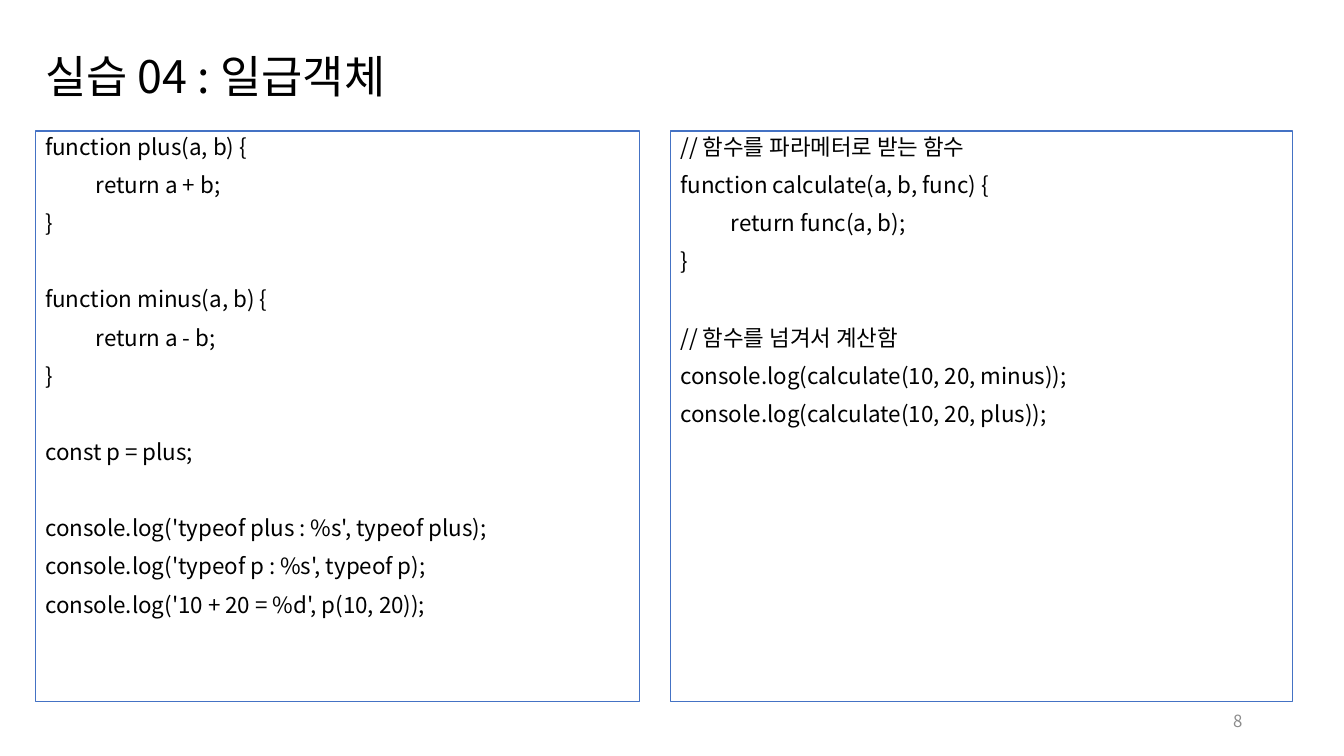
from lxml.etree import SubElement
from pptx import Presentation
from pptx.dml.color import RGBColor
from pptx.enum.shapes import MSO_SHAPE
from pptx.enum.text import MSO_ANCHOR, PP_ALIGN
from pptx.oxml.ns import qn
from pptx.util import Inches, Pt

FONT = "Noto Sans CJK KR"
HUES = {"ink": "000000", "edge": "4472C4", "gray": "8C8C8C"}
PLUS = """function plus(a, b) {
\treturn a + b;
}

function minus(a, b) {
\treturn a - b;
}

const p = plus;

console.log('typeof plus : %s', typeof plus);
console.log('typeof p : %s', typeof p);
console.log('10 + 20 = %d', p(10, 20));"""
CALC = """// 함수를 파라메터로 받는 함수
function calculate(a, b, func) {
\treturn func(a, b);
}

// 함수를 넘겨서 계산함
console.log(calculate(10, 20, minus));
console.log(calculate(10, 20, plus));"""


def write(frame, text, size=16, hue="ink", align=PP_ALIGN.LEFT,
          anchor=MSO_ANCHOR.TOP, lead=0.9, gap=10, skip=27.2):
    frame.word_wrap = True
    frame.vertical_anchor = anchor
    first, space = True, 0
    for line in text.split("\n"):
        if not line:
            space += skip
            continue
        para = frame.paragraphs[0] if first else frame.add_paragraph()
        para.alignment = align
        para.line_spacing = lead
        para.space_before = Pt(space)
        run = para.add_run()
        run.text = line
        run.font.size = Pt(size)
        run.font.name = FONT
        run.font.color.rgb = RGBColor.from_string(HUES[hue])
        SubElement(run.font._element, qn("a:ea")).set("typeface", FONT)
        first, space = False, gap


class Deck:
    """Holds the style and the current slide."""

    def __init__(self):
        self.file = Presentation()
        self.file.slide_width = Inches(13.33)
        self.file.slide_height = Inches(7.5)
        self.slide = self.file.slides.add_slide(self.file.slide_layouts[5])

    def title(self, text, *box):
        shape = self.slide.shapes.title
        shape.left, shape.top, shape.width, shape.height = map(Inches, box)
        write(shape.text_frame, text, size=32, anchor=MSO_ANCHOR.MIDDLE)

    def code(self, text, *box):
        shape = self.slide.shapes.add_shape(
            MSO_SHAPE.RECTANGLE, *map(Inches, box))
        shape.shadow.inherit = False
        shape.fill.background()
        shape.line.color.rgb = RGBColor.from_string(HUES["edge"])
        shape.line.width = Pt(0.75)
        write(shape.text_frame, text)

    def page(self, text, *box):
        shape = self.slide.shapes.add_textbox(*map(Inches, box))
        write(shape.text_frame, text, size=12, hue="gray", lead=1,
              align=PP_ALIGN.RIGHT, anchor=MSO_ANCHOR.MIDDLE)


def main():
    deck = Deck()
    deck.title("실습 04 : 일급객체", 0.35, 0.4, 12.66, 0.77)
    deck.code(PLUS, 0.35, 1.3, 5.99, 5.66)
    deck.code(CALC, 6.65, 1.3, 6.17, 5.66)
    deck.page("8", 9.42, 6.95, 3, 0.4)
    deck.file.save("out.pptx")


if __name__ == "__main__":
    main()
